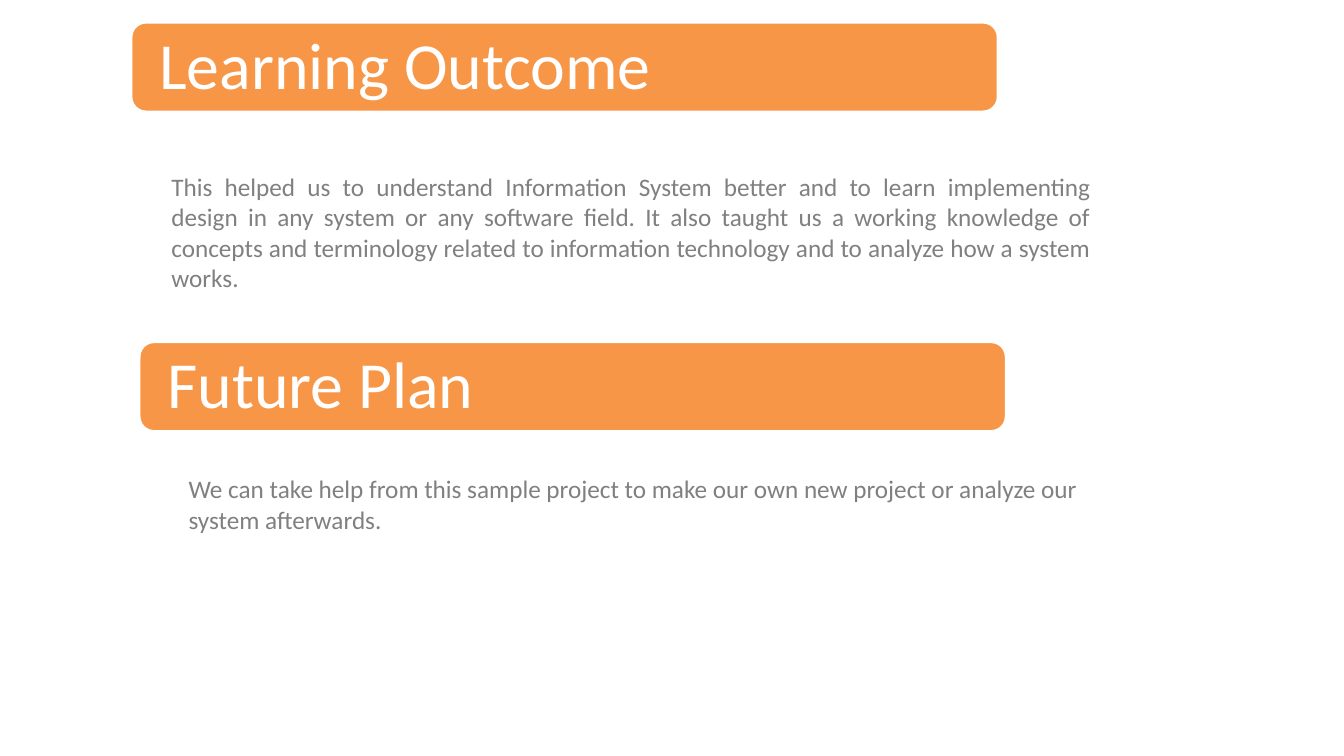
import pptx
import pptx.util
import pptx.dml.color
import pptx.enum.shapes
import pptx.enum.text

Inches, Pt = pptx.util.Inches, pptx.util.Pt
RGB = pptx.dml.color.RGBColor.from_string
ALIGN = pptx.enum.text.PP_ALIGN
ANCHOR = pptx.enum.text.MSO_ANCHOR
COLORS = {"bar": "F79646", "white": "FFFFFF", "body": "808080"}

deck = pptx.Presentation()
deck.slide_width, deck.slide_height = Inches(13.33), Inches(7.5)
slide = deck.slides.add_slide(deck.slide_layouts[6])


def add_text(shapes, area, text, size, color, pad):
    """Add a wrapped text box; pad is its side and top inset; return it."""
    box = shapes.add_textbox(*map(Inches, area))
    frame = box.text_frame
    frame.word_wrap = True
    frame.margin_left = frame.margin_right = Inches(pad[0])
    frame.margin_top = frame.margin_bottom = Inches(pad[1])
    frame.text = text
    font = frame.paragraphs[0].runs[0].font
    font.name, font.size = "Calibri", Pt(size)
    font.color.rgb = RGB(COLORS[color])
    return frame


# title, bar left and top, body left and top, body alignment, body text
parts = [
    ("Learning Outcome", 1.3, 0.22, 1.56, 1.63, ALIGN.JUSTIFY,
     "This helped us to understand Information System better and to learn "
     "implementing design in any system or any software field. It also taught "
     "us a working knowledge of concepts and terminology related to "
     "information technology and to analyze how a system works."),
    ("Future Plan", 1.38, 3.39, 1.73, 4.63, ALIGN.LEFT,
     "We can take help from this sample project to make our own new project "
     "or analyze our system afterwards."),
]

for title, left, top, text_left, text_top, align, text in parts:
    group = slide.shapes.add_group_shape()
    bar = group.shapes.add_shape(
        pptx.enum.shapes.MSO_SHAPE.ROUNDED_RECTANGLE,
        Inches(left), Inches(top), Inches(8.6), Inches(0.89))
    bar.shadow.inherit = False
    bar.fill.solid()
    bar.fill.fore_color.rgb = RGB(COLORS["bar"])
    bar.line.color.rgb = RGB(COLORS["white"])
    bar.line.width = Pt(2)

    area = (left + 0.08, top + 0.05, 8.44, 0.81)
    head = add_text(group.shapes, area, title, 47, "white", (0.2, 0.2))
    head.vertical_anchor = ANCHOR.MIDDLE
    head.paragraphs[0].line_spacing = 0.9

    area = (text_left, text_top, 9.4, 1.44)
    body = add_text(slide.shapes, area, text, 18, "body", (0.14, 0.07))
    body.paragraphs[0].alignment = align

deck.save("out.pptx")
